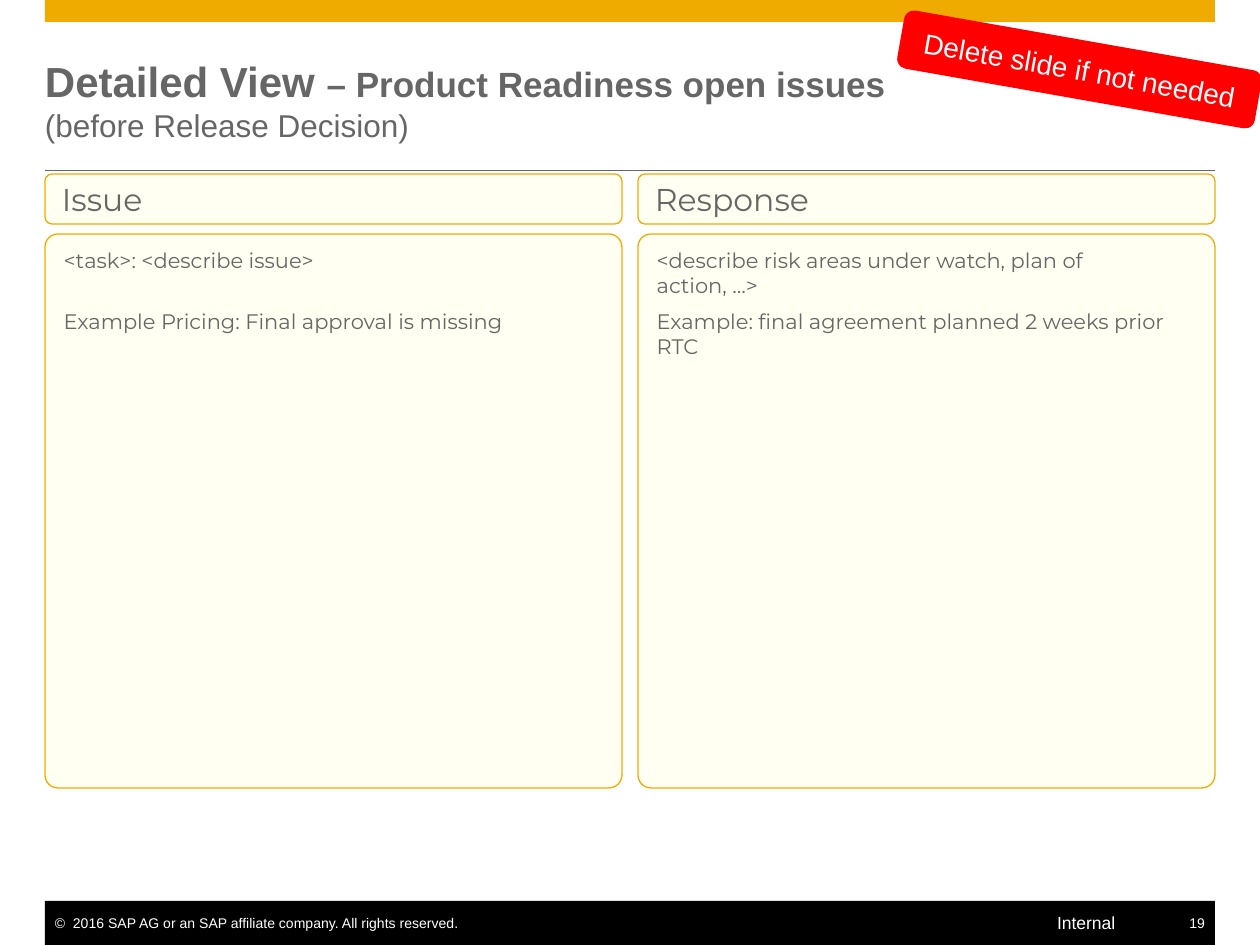
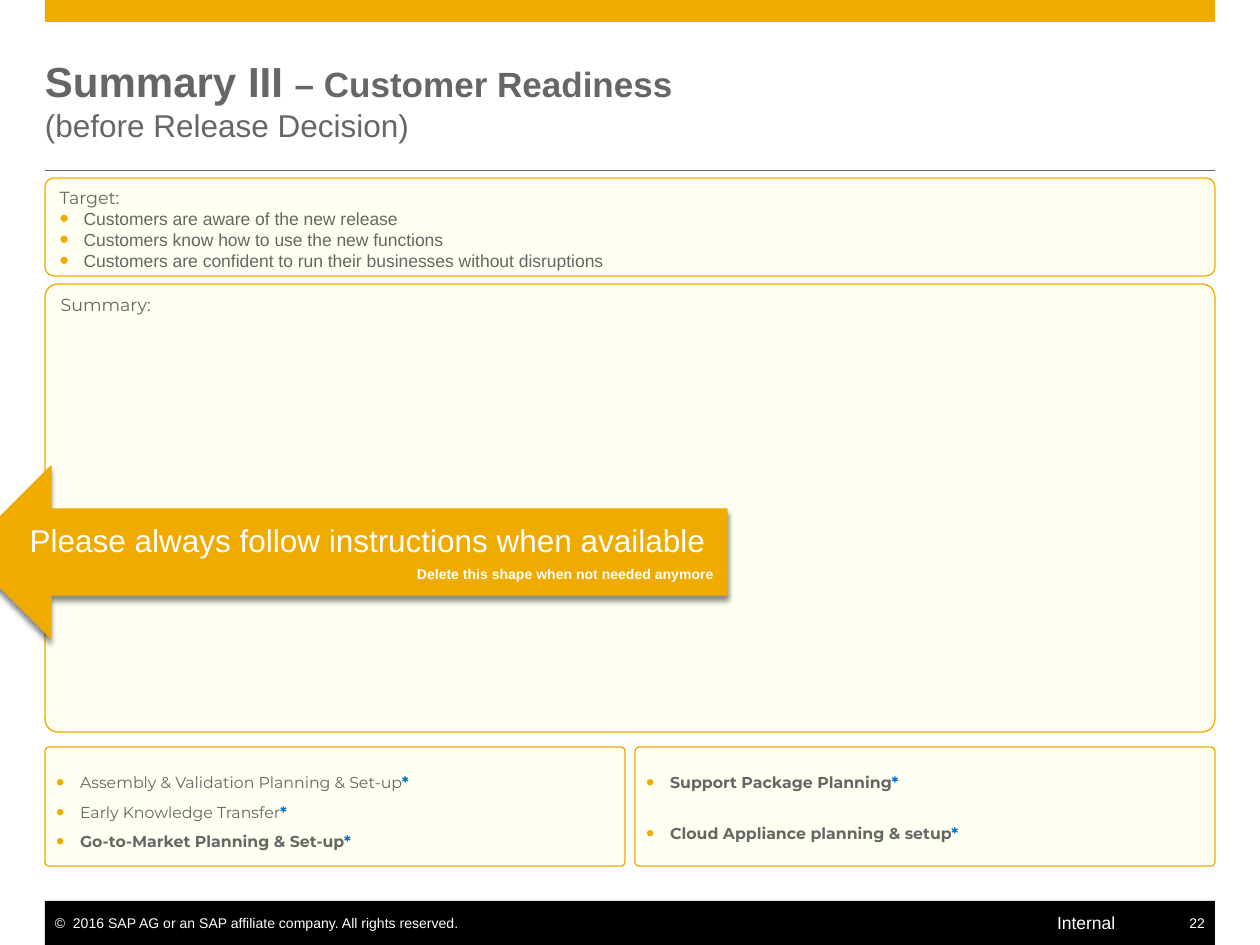
from lxml.etree import SubElement
from pptx import Presentation
from pptx.dml.color import RGBColor
from pptx.enum.shapes import MSO_CONNECTOR as Connector, MSO_SHAPE as Shape
from pptx.enum.text import MSO_ANCHOR as Anchor, PP_ALIGN as Align
from pptx.oxml.ns import qn
from pptx.util import Emu, Pt

EMU_PER_PX = 914400 / 126
WIDTH, HEIGHT = 1260, 945
LEFT, RIGHT = 45, 1215
FULL = RIGHT - LEFT
COLORS = {
    "gold": "F0AB00", "gray": "666666", "black": "000000", "white": "FFFFFF",
    "red": "FF0000", "cream": "FFFFCC", "blue": "0076CB",
}


def px(length):
    return Emu(round(length * EMU_PER_PX))


def rgb(color):
    return RGBColor.from_string(COLORS[color])


def add_child(parent, tag, **attributes):
    return SubElement(parent, qn(tag), {key: str(value) for key, value in attributes.items()})


def add_run(paragraph, text, size=10, font="Arial", color="gray", bold=False):
    for index, part in enumerate(text.split("\n")):
        if index:
            paragraph.add_line_break()
        run = paragraph.add_run()
        run.text = part
        run.font.size = Pt(size)
        run.font.name = font
        run.font.bold = bold
        run.font.color.rgb = rgb(color)


def add_line(frame, text, align=Align.LEFT, space=0, bullet=None, bullet_color="gold",
             bullet_size=150, indent=24, **style):
    paragraph = frame.paragraphs[0]
    if paragraph.runs:
        paragraph = frame.add_paragraph()
        paragraph.space_before = Pt(space)
    paragraph.alignment = align
    if bullet:
        properties = paragraph._p.get_or_add_pPr()
        properties.set("marL", str(px(indent)))
        properties.set("indent", str(-px(indent)))
        add_child(add_child(properties, "a:buClr"), "a:srgbClr", val=COLORS[bullet_color])
        add_child(properties, "a:buSzPct", val=bullet_size * 1000)
        add_child(properties, "a:buFont", typeface="Arial")
        add_child(properties, "a:buChar", char=bullet)
    add_run(paragraph, text, **style)
    return paragraph


class ReadinessDeck:
    """Builds release readiness slides in one shared style."""

    def __init__(self):
        self.deck = Presentation()
        self.deck.slide_width, self.deck.slide_height = px(WIDTH), px(HEIGHT)
        self.slide = None

    def frame(self, shape, insets=(0, 0, 0, 0), anchor=Anchor.TOP, wrap=True):
        frame = shape.text_frame
        frame.word_wrap = wrap
        frame.vertical_anchor = anchor
        (frame.margin_left, frame.margin_top,
         frame.margin_right, frame.margin_bottom) = map(px, insets)
        return frame

    def text(self, x, y, w, h, **layout):
        return self.frame(self.slide.shapes.add_textbox(px(x), px(y), px(w), px(h)), **layout)

    def shape(self, kind, x, y, w, h, fill, line=None, line_width=0.75, radius=None):
        shape = self.slide.shapes.add_shape(kind, px(x), px(y), px(w), px(h))
        shape.shadow.inherit = False
        shape.fill.solid()
        shape.fill.fore_color.rgb = rgb(fill)
        if line:
            shape.line.color.rgb = rgb(line)
            shape.line.width = Pt(line_width)
        else:
            shape.line.fill.background()
        if radius:
            shape.adjustments[0] = radius / min(w, h)
        return shape

    def panel(self, x, y, w, h, radius, **layout):
        panel = self.shape(Shape.ROUNDED_RECTANGLE, x, y, w, h, "cream", "gold", radius=radius)
        fill_color = panel._element.spPr.find(qn("a:solidFill"))[0]
        add_child(fill_color, "a:alpha", val=25000)
        return self.frame(panel, **layout)

    def rule(self, y):
        rule = self.slide.shapes.add_connector(
            Connector.STRAIGHT, px(LEFT), px(y), px(RIGHT), px(y))
        rule.line.color.rgb = rgb("gray")
        rule.line.width = Pt(0.5)
        add_child(rule._element.spPr, "a:effectLst")

    def label(self, text):
        label = self.shape(Shape.ROUNDED_RECTANGLE, 898, 40, 363, 59, "red", radius=10)
        label.rotation = 10
        frame = self.frame(label, (20, 10, 20, 10), Anchor.MIDDLE, wrap=False)
        add_line(frame, text, align=Align.CENTER, size=16, color="white")

    def arrow(self, message, remark):
        arrow = self.shape(Shape.LEFT_ARROW, -35, 466, 762, 172, "gold", "gold")
        effects = arrow._element.spPr.find(qn("a:effectLst"))
        shadow = add_child(effects, "a:outerShdw", blurRad=Pt(3), dist=Pt(2.4),
                           dir=90 * 60000, rotWithShape=0)
        shadow_color = add_child(shadow, "a:srgbClr", val=COLORS["black"])
        add_child(shadow_color, "a:alpha", val=45000)
        frame = self.frame(arrow, (13, 10, 13, 10), Anchor.MIDDLE)
        add_line(frame, message, align=Align.CENTER, size=18, color="white")
        add_line(frame, remark, align=Align.RIGHT, space=4, size=8, color="white", bold=True)

    def start(self, page, title, topic):
        self.slide = self.deck.slides.add_slide(self.deck.slide_layouts[6])
        self.shape(Shape.RECTANGLE, LEFT, 0, FULL, 22, "gold")
        self.rule(170)
        self.shape(Shape.RECTANGLE, LEFT, 901, FULL, 44, "black")
        add_line(self.text(LEFT, 915, 431, 16, insets=(10, 0, 0, 0)),
                 "2016 SAP AG or an SAP affiliate company. All rights reserved.",
                 bullet="©", bullet_color="white", bullet_size=100, indent=18,
                 size=8, color="white")
        add_line(self.text(1175, 915, 40, 16, insets=(0, 0, 10, 0)), str(page),
                 align=Align.RIGHT, size=8, color="white")
        add_line(self.text(1057, 912, 110, 21), "Internal", color="white")
        heading = self.text(LEFT, 34, 1147, 132, anchor=Anchor.MIDDLE)
        title_line = add_line(heading, title + " ", size=24, bold=True)
        add_run(title_line, "– " + topic, size=20, bold=True)
        add_line(heading, "(before Release Decision)", size=18)


def add_open_issues(deck):
    deck.start(19, "Detailed View", "Product Readiness open issues")
    deck.label("Delete slide if not needed")
    columns = [
        ("Issue", "<task>: <describe issue>",
         "Example Pricing: Final approval is missing", 20.5),
        ("Response", "<describe risk areas under watch, plan of\naction, …>",
         "Example: final agreement planned 2 weeks prior RTC", 6),
    ]
    width, gap = 577, 16
    for index, (header, hint, example, space) in enumerate(columns):
        x = LEFT + index * (width + gap)
        add_line(deck.panel(x, 174, width, 50, 7, insets=(15, 0, 13, 0), anchor=Anchor.MIDDLE),
                 header, size=18, font="Montserrat")
        body = deck.panel(x, 234, width, 554, 13, insets=(15, 10, 13, 0))
        add_line(body, hint, size=12, font="Montserrat")
        add_line(body, example, space=space, size=12, font="Montserrat")


def add_customer_readiness(deck):
    deck.start(22, "Summary III", "Customer Readiness")
    target = deck.panel(LEFT, 178, FULL, 98, 9, insets=(12, 6, 12, 6))
    add_line(target, "Target:", font="Montserrat")
    for goal in ("Customers are aware of the new release",
                 "Customers know how to use the new functions",
                 "Customers are confident to run their businesses without disruptions"):
        add_line(target, goal, bullet="•")
    summary = deck.panel(LEFT, 284, FULL, 448, 13, insets=(12, 6, 12, 6))
    add_line(summary, "Summary:", font="Montserrat")
    deck.arrow("Please always follow instructions when available",
               "Delete this shape when not needed anymore")
    task_columns = [
        (6, [("Assembly & Validation Planning & Set-up", False),
             ("Early Knowledge Transfer", False),
             ("Go-to-Market Planning & Set-up", True)]),
        (18, [("Support Package Planning", True),
              ("Cloud Appliance planning & setup", True)]),
    ]
    width, gap = 580, 10
    for index, (space, tasks) in enumerate(task_columns):
        frame = deck.panel(LEFT + index * (width + gap), 747, width, 119, 4,
                           insets=(10, 25, 13, 0))
        for task, bold in tasks:
            line = add_line(frame, task, space=space, bullet="•",
                            size=9, font="Montserrat", bold=bold)
            add_run(line, "*", size=9, font="Montserrat", color="blue", bold=True)


def main():
    readiness = ReadinessDeck()
    add_open_issues(readiness)
    add_customer_readiness(readiness)
    readiness.deck.save("out.pptx")


if __name__ == "__main__":
    main()
